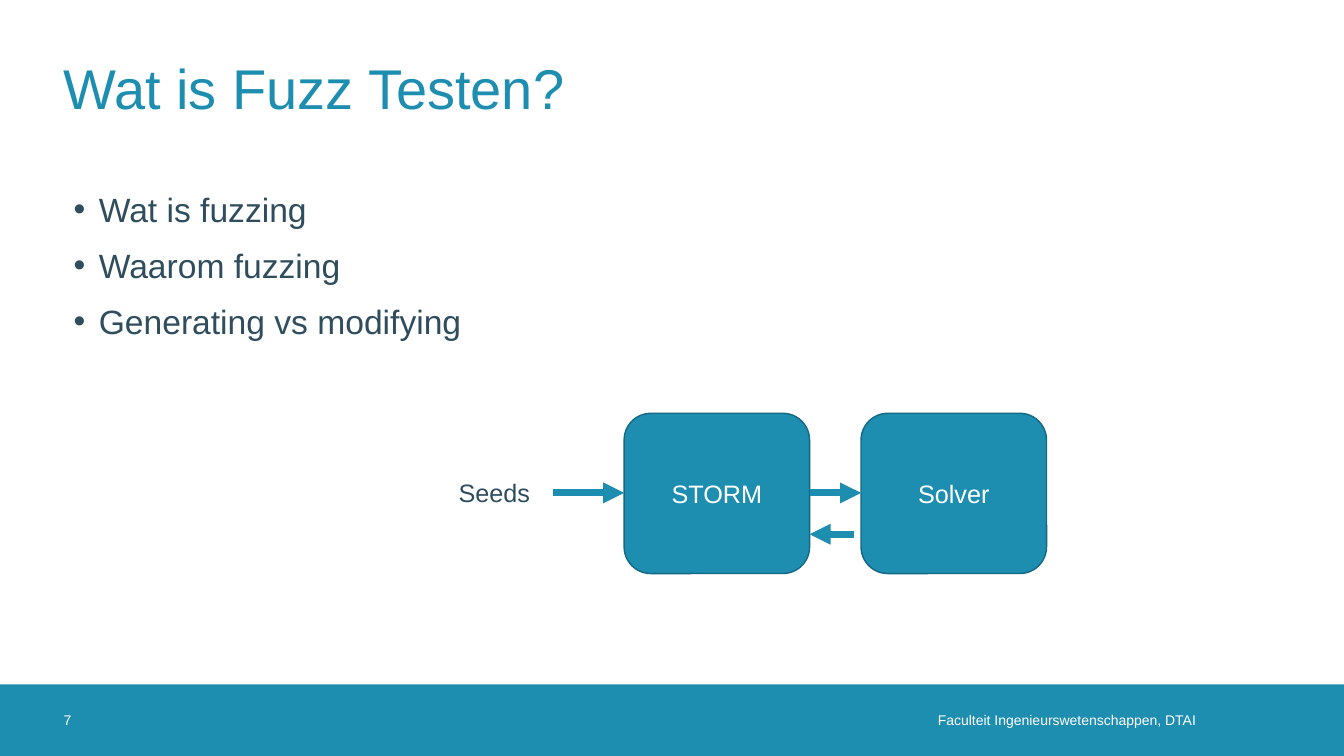
from dataclasses import dataclass

from lxml.etree import SubElement
from pptx import Presentation
from pptx.dml.color import RGBColor
from pptx.enum.shapes import MSO_CONNECTOR as Connector, MSO_SHAPE as Preset
from pptx.enum.text import MSO_ANCHOR as Anchor, MSO_AUTO_SIZE as AutoSize, PP_ALIGN as Align
from pptx.oxml.ns import qn
from pptx.util import Inches, Pt


@dataclass(frozen=True)
class Theme:
    font: str = "Arial"
    accent: RGBColor = RGBColor(0x1D, 0x8D, 0xB0)
    outline: RGBColor = RGBColor(0x15, 0x68, 0x82)
    text: RGBColor = RGBColor(0x2F, 0x4D, 0x5D)
    white: RGBColor = RGBColor(0xFF, 0xFF, 0xFF)
    title_size: int = 40
    body_size: int = 24
    diagram_size: int = 18
    footer_size: int = 10


THEME = Theme()
SLIDE_WIDTH, SLIDE_HEIGHT = 13.33, 7.5
MARGIN = 0.63
FOOTER_TOP, FOOTER_HEIGHT = 6.79, 0.71
BOX_TOP, BOX_WIDTH, BOX_HEIGHT = 4.1, 1.84, 1.59
STORM_LEFT, SOLVER_LEFT = 6.19, 8.54
STORM_RIGHT = STORM_LEFT + BOX_WIDTH
FORWARD_Y, BACK_Y = 4.89, 5.3
SEEDS_LEFT, SEEDS_WIDTH = 4.45, 1.03


def apply(target, values):
    for name, value in values.items():
        setattr(target, name, value)


def place(shape, left, top, width, height):
    bounds = {"left": left, "top": top, "width": width, "height": height}
    apply(shape, {name: Inches(value) for name, value in bounds.items()})


def set_text(shape, text, size, color, align=Align.LEFT, anchor=Anchor.MIDDLE, margins=None):
    frame = shape.text_frame
    apply(frame, {"text": text, "word_wrap": True,
                  "auto_size": AutoSize.NONE, "vertical_anchor": anchor})
    if margins:
        sides = ("margin_left", "margin_top", "margin_right", "margin_bottom")
        apply(frame, {side: Inches(value) for side, value in zip(sides, margins)})
    for paragraph in frame.paragraphs:
        paragraph.alignment = align
        for run in paragraph.runs:
            apply(run.font, {"name": THEME.font, "size": Pt(size)})
            run.font.color.rgb = color


def add_box(slide, preset, bounds, outline=None):
    box = slide.shapes.add_shape(preset, *map(Inches, bounds))
    box.shadow.inherit = False
    box.fill.solid()
    box.fill.fore_color.rgb = THEME.accent
    if outline:
        box.line.color.rgb = outline
        box.line.width = Pt(1)
    else:
        box.line.fill.background()
    return box


def add_label(slide, text, bounds, size, color, **layout):
    label = slide.shapes.add_textbox(*map(Inches, bounds))
    set_text(label, text, size, color, **layout)
    return label


def add_node(slide, text, left):
    bounds = (left, BOX_TOP, BOX_WIDTH, BOX_HEIGHT)
    node = add_box(slide, Preset.ROUNDED_RECTANGLE, bounds, THEME.outline)
    set_text(node, text, THEME.diagram_size, THEME.white, align=Align.CENTER)


def add_arrow(slide, start, end, y):
    arrow = slide.shapes.add_connector(Connector.STRAIGHT, *map(Inches, (start, y, end, y)))
    arrow.line.color.rgb = THEME.accent
    arrow.line.width = Pt(5)
    SubElement(arrow.line._get_or_add_ln(), qn("a:tailEnd"), type="triangle")
    SubElement(arrow._element.spPr, qn("a:effectLst"))


def fill_title(slide, text):
    title = slide.shapes.title
    place(title, MARGIN, 0.23, 12.07, 1.26)
    set_text(title, text, THEME.title_size, THEME.accent, margins=(0, 0, 0, 0))


def fill_bullets(slide, items):
    body = slide.placeholders[1]
    place(body, MARGIN, 1.81, 11.97, 4.88)
    set_text(body, "\n".join(items), THEME.body_size, THEME.text, anchor=Anchor.TOP)
    for index, paragraph in enumerate(body.text_frame.paragraphs):
        properties = paragraph._p.get_or_add_pPr()
        properties.set("marL", str(Inches(0.25)))
        properties.set("indent", str(Inches(-0.25)))
        SubElement(properties, qn("a:buFont"), typeface=THEME.font)
        SubElement(properties, qn("a:buChar"), char="•")
        apply(paragraph, {"space_before": Pt(10 if index else 0), "line_spacing": 1.04})


def add_footer(slide, number, text):
    add_box(slide, Preset.RECTANGLE, (0, FOOTER_TOP, SLIDE_WIDTH, FOOTER_HEIGHT))
    add_label(slide, text, (6.6, FOOTER_TOP, 5.46, FOOTER_HEIGHT),
              THEME.footer_size, THEME.white, align=Align.RIGHT, margins=(0, 0, 0.2, 0))
    add_label(slide, number, (MARGIN, FOOTER_TOP, 0.71, FOOTER_HEIGHT),
              THEME.footer_size, THEME.white, margins=(0, 0, 0, 0))


def add_diagram(slide):
    add_node(slide, "STORM", STORM_LEFT)
    add_node(slide, "Solver", SOLVER_LEFT)
    seeds = add_label(slide, "Seeds", (SEEDS_LEFT, 4.69, SEEDS_WIDTH, 0.4),
                      THEME.diagram_size, THEME.text, anchor=Anchor.TOP)
    seeds.text_frame.auto_size = AutoSize.SHAPE_TO_FIT_TEXT
    add_arrow(slide, SEEDS_LEFT + SEEDS_WIDTH, STORM_LEFT, FORWARD_Y)
    add_arrow(slide, STORM_RIGHT, SOLVER_LEFT, FORWARD_Y)
    add_arrow(slide, 8.47, STORM_RIGHT, BACK_Y)


def main():
    presentation = Presentation()
    apply(presentation, {"slide_width": Inches(SLIDE_WIDTH),
                         "slide_height": Inches(SLIDE_HEIGHT)})
    slide = presentation.slides.add_slide(presentation.slide_layouts[1])
    add_footer(slide, "7", "Faculteit Ingenieurswetenschappen, DTAI")
    fill_title(slide, "Wat is Fuzz Testen?")
    fill_bullets(slide, ["Wat is fuzzing", "Waarom fuzzing", "Generating vs modifying"])
    add_diagram(slide)
    presentation.save("out.pptx")


if __name__ == "__main__":
    main()
